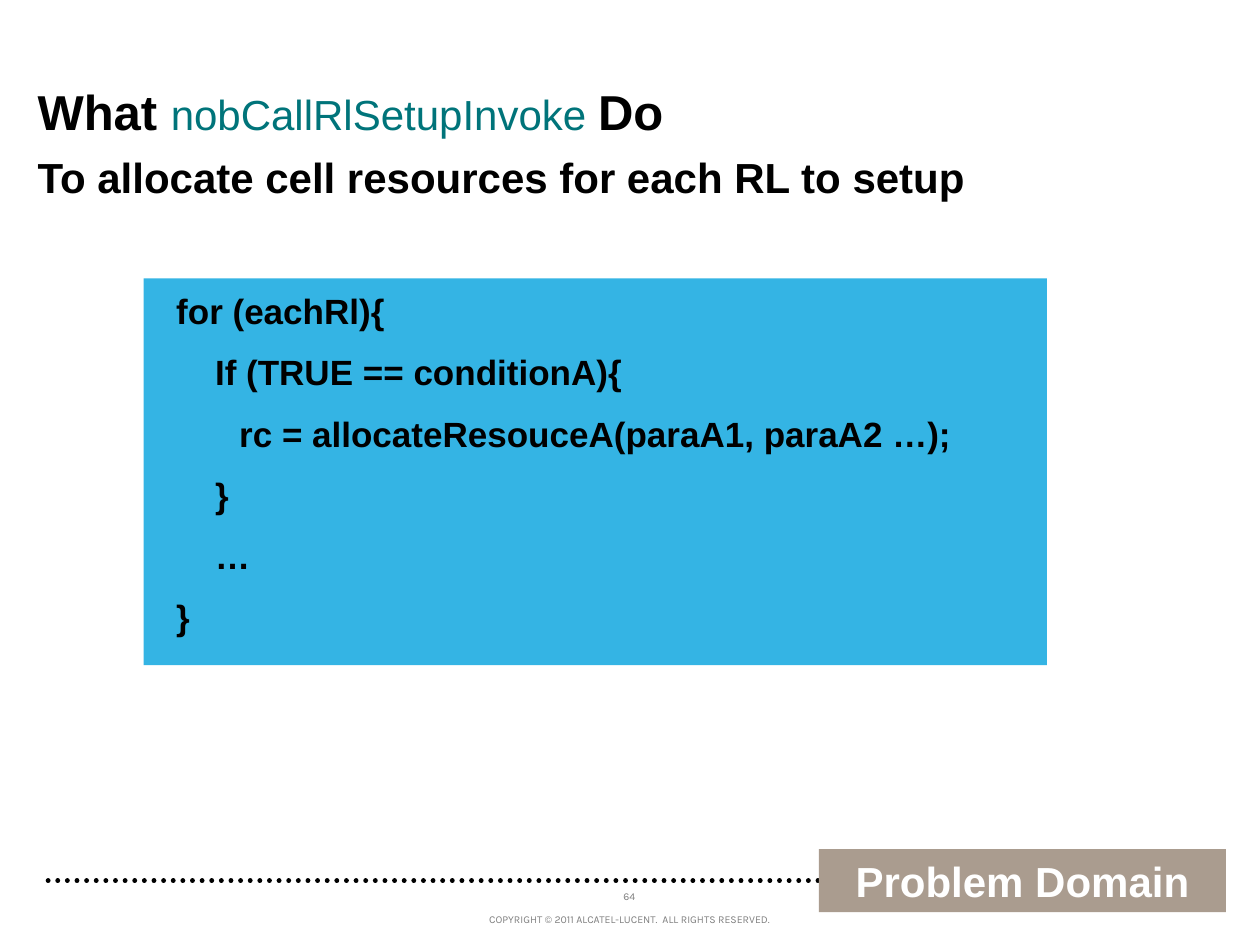
import pptx
import pptx.util
import pptx.dml.color
import pptx.enum.dml
import pptx.enum.shapes
import pptx.enum.text
import pptx.oxml
import pptx.oxml.ns

Inches = pptx.util.Inches
Pt = pptx.util.Pt
ALIGN = pptx.enum.text.PP_ALIGN
ANCHOR = pptx.enum.text.MSO_ANCHOR

COLORS = {
    "text": "000000",
    "function": "00747A",
    "panel": "34B4E4",
    "tag": "AA9C8F",
    "tag_text": "FFFFFF",
    "number": "808080",
    "copyright": "7F7F7F",
}

CODE = [
    "for (eachRl){",
    "    If (TRUE == conditionA){",
    "\trc = allocateResouceA(paraA1, paraA2 …);",
    "    }",
    "    …",
    "}",
]


def color(name):
    return pptx.dml.color.RGBColor.from_string(COLORS[name])


def set_font(font, size, color_name, bold=True, name="Arial"):
    font.name = name
    font.size = Pt(size)
    font.bold = bold
    font.color.rgb = color(color_name)


def add_text(page, left, top, width, height, lines, size, color_name,
             bold=True, name="Arial", align=ALIGN.LEFT, anchor=ANCHOR.TOP):
    box = page.shapes.add_textbox(Inches(left), Inches(top), Inches(width), Inches(height))
    frame = box.text_frame
    frame.word_wrap = True
    frame.vertical_anchor = anchor
    for index, line in enumerate(lines):
        para = frame.paragraphs[0] if index == 0 else frame.add_paragraph()
        para.text = line
        para.alignment = align
        if index:
            para.space_before = Pt(11)
        set_font(para.font, size, color_name, bold, name)
    return box


def add_block(page, left, top, width, height, fill):
    block = page.shapes.add_shape(pptx.enum.shapes.MSO_SHAPE.RECTANGLE,
                                  Inches(left), Inches(top), Inches(width), Inches(height))
    block.shadow.inherit = False
    block.fill.solid()
    block.fill.fore_color.rgb = color(fill)
    block.line.fill.background()
    return block


def add_footer(page, left, top, width):
    # Dotted rule with round dots
    rule = page.shapes.add_connector(pptx.enum.shapes.MSO_CONNECTOR.STRAIGHT,
                                     Inches(left + width), Inches(top), Inches(left), Inches(top))
    rule.line.width = Pt(2.75)
    rule.line.color.rgb = color("text")
    rule.line.dash_style = pptx.enum.dml.MSO_LINE.ROUND_DOT
    rule.line._get_or_add_ln().set("cap", "rnd")
    effects = pptx.oxml.parse_xml("<a:effectLst %s/>" % pptx.oxml.ns.nsdecls("a"))
    rule._element.spPr.append(effects)

    # Page number and copyright line
    small = {"size": 6, "bold": False, "name": "Karla", "align": ALIGN.CENTER}
    add_text(page, left + 4.39, top - 0.04, 0.53, 0.26, ["64"],
             color_name="number", anchor=ANCHOR.BOTTOM, **small)
    add_text(page, left + 1.15, top + 0.21, 7.01, 0.25,
             ["COPYRIGHT © 2011 ALCATEL-LUCENT.  ALL RIGHTS RESERVED."],
             color_name="copyright", **small)


def add_code_panel(page, left, top, width, height):
    add_block(page, left, top, width, height, "panel")
    add_text(page, left + 0.16, top + 0.04, width + 0.15, height - 0.14, CODE, 20, "text")


def add_heading(page, left, top):
    title = add_text(page, left, top, 6.61, 0.57, [""], 28, "text")
    para = title.text_frame.paragraphs[0]
    for text, size, color_name, bold in [
        ("What ", 28, "text", True),
        ("nobCallRlSetupInvoke ", 24, "function", False),
        ("Do", 28, "text", True),
    ]:
        span = para.add_run()
        span.text = text
        set_font(span.font, size, color_name, bold)
    add_text(page, left, top + 0.55, 8.74, 0.5,
             ["To allocate cell resources for each RL to setup"], 24, "text")


def add_tag(page, left, top, width, height):
    tag = add_block(page, left, top, width, height, "tag")
    para = tag.text_frame.paragraphs[0]
    para.text = "Problem Domain"
    para.alignment = ALIGN.CENTER
    set_font(para.font, 24, "tag_text")


def main():
    deck = pptx.Presentation()
    deck.slide_width = Inches(10)
    deck.slide_height = Inches(7.5)
    page = deck.slides.add_slide(deck.slide_layouts[6])
    add_footer(page, 0.34, 6.99, 7.68)
    add_code_panel(page, 1.14, 2.21, 7.17, 3.07)
    add_heading(page, 0.2, 0.6)
    add_tag(page, 6.5, 6.74, 3.23, 0.5)
    deck.save("out.pptx")


if __name__ == "__main__":
    main()
